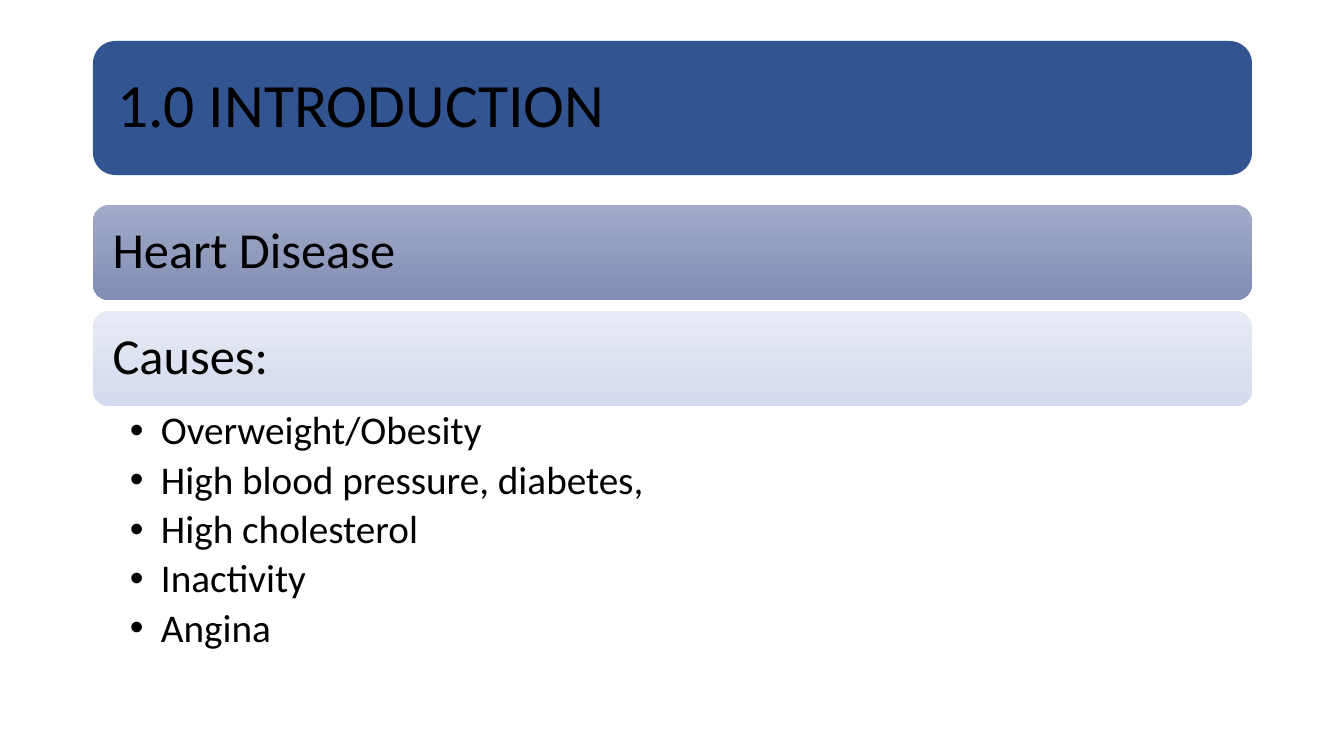
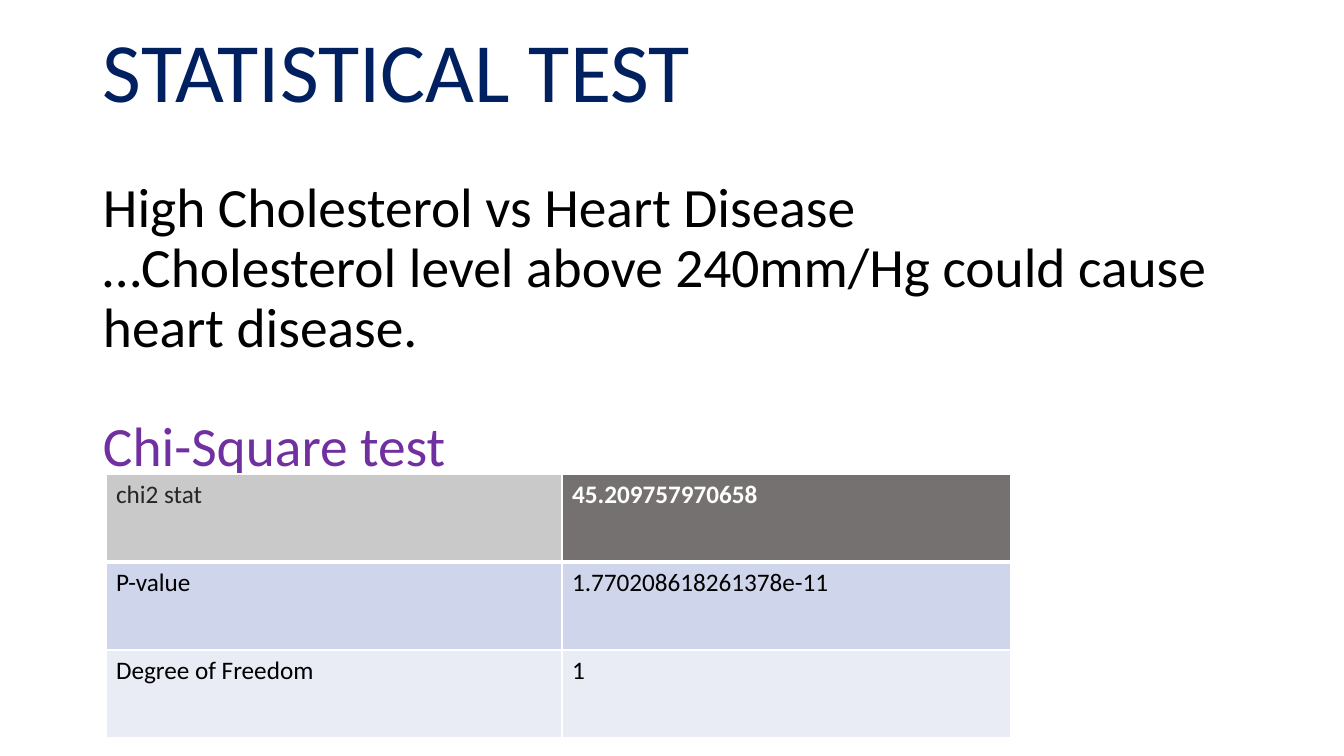
from lxml.etree import SubElement
from pptx import Presentation
from pptx.dml.color import RGBColor
from pptx.enum.shapes import MSO_SHAPE
from pptx.enum.text import MSO_ANCHOR, MSO_AUTO_SIZE, PP_ALIGN
from pptx.oxml import parse_xml
from pptx.oxml.ns import nsdecls, qn
from pptx.util import Pt

FONT = "Calibri"
COLORS = {
    "black": "000000", "white": "FFFFFF", "band": "325491",
    "slate_top": "A1AAC7", "slate_end": "818EB5",
    "mist_top": "E6EAF4", "mist_end": "D5DBEE",
    "navy": "002060", "purple": "7030A0", "ink": "262626",
    "head_label": "C9C9C9", "head_value": "767171",
    "row_dark": "CFD5EA", "row_light": "E9EBF5",
}
LEFT, WIDTH = 93, 1159


def px(n):
    return round(n * 914400 / 100.8)


def rgb(name):
    return RGBColor.from_string(COLORS[name])


def place(sp, x, y, w, h):
    sp.left, sp.top, sp.width, sp.height = px(x), px(y), px(w), px(h)


def setup(tf, inset, anchor=MSO_ANCHOR.MIDDLE):
    """Format a text frame; inset is left, top, right, bottom."""
    tf.word_wrap = True
    tf.auto_size = MSO_AUTO_SIZE.NONE
    tf.vertical_anchor = anchor
    (tf.margin_left, tf.margin_top,
     tf.margin_right, tf.margin_bottom) = map(px, inset)


def add_shadow(r):
    r._r.get_or_add_rPr().append(parse_xml(
        f'<a:effectLst {nsdecls("a")}>'
        '<a:outerShdw blurRad="38100" dist="38100" dir="2700000" algn="tl">'
        '<a:srgbClr val="000000"><a:alpha val="43000"/></a:srgbClr>'
        '</a:outerShdw></a:effectLst>'))


def write(p, text, size, color="black", bold=False, spacing=0.9,
          before=0, after=0, shadow=False):
    p.alignment = PP_ALIGN.LEFT
    p.line_spacing = spacing
    p.space_before, p.space_after = Pt(before), Pt(after)
    r = p.add_run()
    r.text = text
    r.font.size, r.font.bold = Pt(size), bold
    r.font.color.rgb = rgb(color)
    if shadow:
        add_shadow(r)
    r.font.name = FONT


def paragraphs(tf, count):
    return [tf.paragraphs[0]] + [tf.add_paragraph() for _ in range(count - 1)]


def band(s, x, y, w, h, *fill):
    """Rounded band: one colour, or a gradient from top to bottom."""
    sp = s.shapes.add_shape(MSO_SHAPE.ROUNDED_RECTANGLE, px(x), px(y), px(w), px(h))
    sp.shadow.inherit = False
    sp.line.fill.background()
    if len(fill) == 1:
        sp.fill.solid()
        sp.fill.fore_color.rgb = rgb(fill[0])
    else:
        sp.fill.gradient()
        sp.fill.gradient_angle = 270
        for stop, name in zip(sp.fill.gradient_stops, fill):
            stop.color.rgb = rgb(name)
    return sp


def title_band(s, text, x, y, w, h):
    sp = band(s, x, y, w, h, "band")
    title = s.shapes.title
    sp._element.addnext(title._element)  # title in front of its band
    place(title, x + 6, y + 6, w - 12, h - 12)
    setup(title.text_frame, [18] * 4)
    write(title.text_frame.paragraphs[0], text, 44)


def heading_band(s, text, x, y, w, h, *fill):
    sp = band(s, x, y, w, h, *fill)
    setup(sp.text_frame, [15] * 4)
    write(sp.text_frame.paragraphs[0], text, 36)


def bullet_list(s, items, x, y, w, h):
    sp = s.placeholders[1]
    place(sp, x, y, w, h)
    tf = sp.text_frame
    setup(tf, (37, 5, 28, 5), MSO_ANCHOR.TOP)
    for p, item in zip(paragraphs(tf, len(items)), items):
        p.level = 1
        write(p, item, 28, after=5)
        pPr = p._p.get_or_add_pPr()
        pPr.set("marL", str(px(31)))
        pPr.set("indent", str(-px(31)))
        SubElement(pPr, qn("a:buChar")).set("char", "•")


def long_title(s, lines, x, y, w, h):
    sp = s.shapes.title
    place(sp, x, y, w, h)
    setup(sp.text_frame, (10, 5, 10, 5))
    for p, (text, size, color, before) in zip(
            paragraphs(sp.text_frame, len(lines)), lines):
        write(p, text, size, color, before=before, shadow=True)


def cell_borders(cell, top, bottom):
    tcPr = cell._tc.get_or_add_tcPr()
    for side, width in (("L", 1), ("R", 1), ("T", top), ("B", bottom)):
        tcPr.append(parse_xml(
            f'<a:ln{side} {nsdecls("a")} w="{Pt(width)}"><a:solidFill>'
            f'<a:srgbClr val="{COLORS["white"]}"/></a:solidFill></a:ln{side}>'))


def result_table(s, rows, x, y, widths, row_h):
    table = s.shapes.add_table(len(rows), len(widths), px(x), px(y),
                               px(sum(widths)), px(row_h * len(rows))).table
    for col, w in zip(table.columns, widths):
        col.width = px(w)
    for i, values in enumerate(rows):
        table.rows[i].height = px(row_h)
        for j, value in enumerate(values):
            cell = table.cell(i, j)
            if i == 0:
                fill, color = [("head_label", "ink"), ("head_value", "white")][j]
            else:
                fill, color = ("row_dark" if i % 2 else "row_light"), "black"
            cell_borders(cell, 3 if i == 1 else 1, 3 if i == 0 else 1)
            cell.fill.solid()
            cell.fill.fore_color.rgb = rgb(fill)
            write(cell.text_frame.paragraphs[0], value, 18, color,
                  bold=(i == 0 and j == 1), spacing=1.0)


def introduction(prs):
    s = prs.slides.add_slide(prs.slide_layouts[1])
    title_band(s, "1.0 INTRODUCTION", LEFT, 41, WIDTH, 134)
    headings = [("Heart Disease", "slate_top", "slate_end"),
                ("Causes:", "mist_top", "mist_end")]
    for i, (text, *fill) in enumerate(headings):
        heading_band(s, text, LEFT, 205 + 106 * i, WIDTH, 95, *fill)
    bullet_list(s, ["Overweight/Obesity", "High blood pressure, diabetes,",
                    "High cholesterol", "Inactivity", "Angina"],
                LEFT, 406, WIDTH, 271)


def statistical_test(prs):
    s = prs.slides.add_slide(prs.slide_layouts[5])
    long_title(s, [
        ("STATISTICAL TEST", 60.3, "navy", 0),
        ("High Cholesterol vs Heart Disease", 39.6, "black", 42),
        ("…Cholesterol level above 240mm/Hg could cause heart disease.",
         39.6, "black", 0),
        ("Chi-Square test", 39.6, "purple", 42),
    ], LEFT, 77, 1219, 354)
    result_table(s, [("chi2 stat", "45.209757970658"),
                     ("P-value", "1.770208618261378e-11"),
                     ("Degree of Freedom", "1")],
                 106, 474, (456, 449), 88)


prs = Presentation()
prs.slide_width, prs.slide_height = px(1344), px(756)
introduction(prs)
statistical_test(prs)
prs.save("out.pptx")
